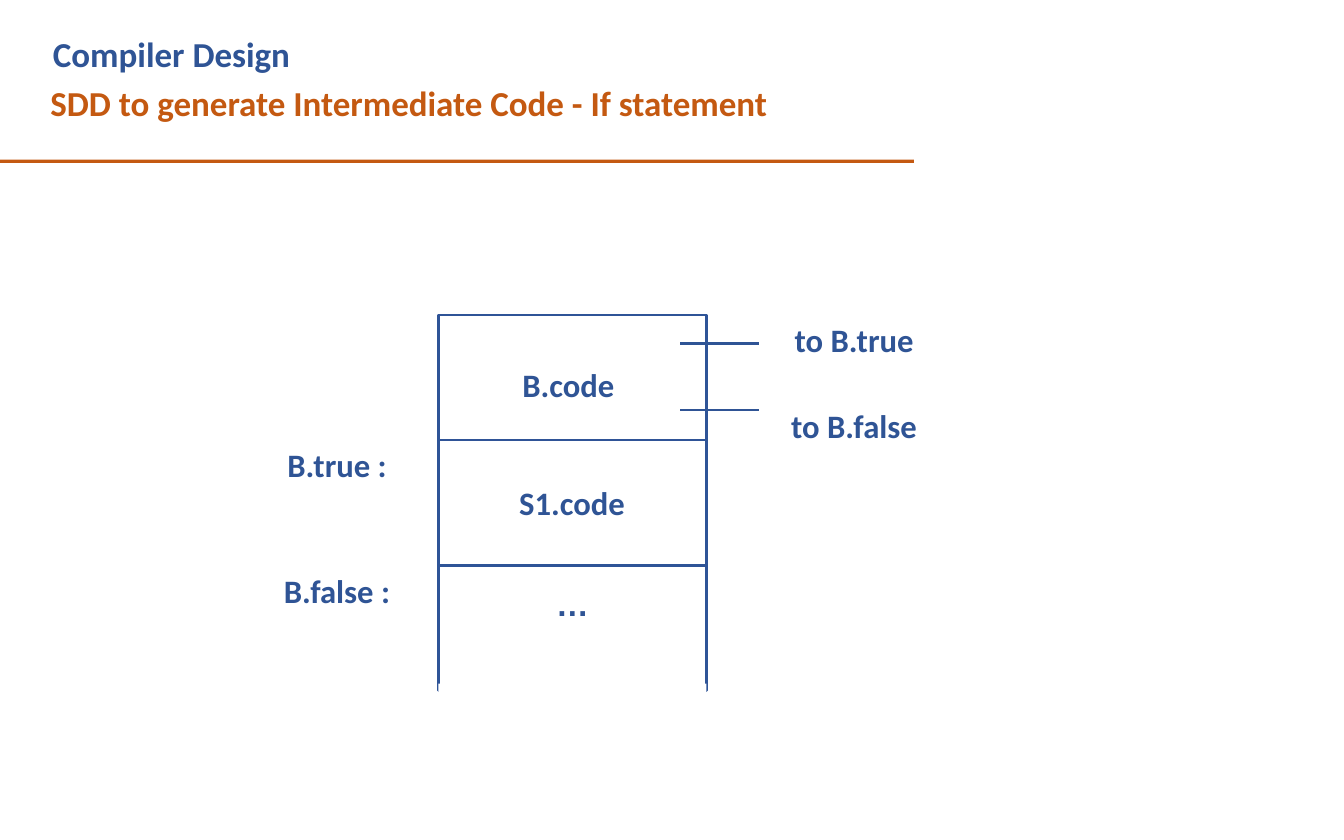
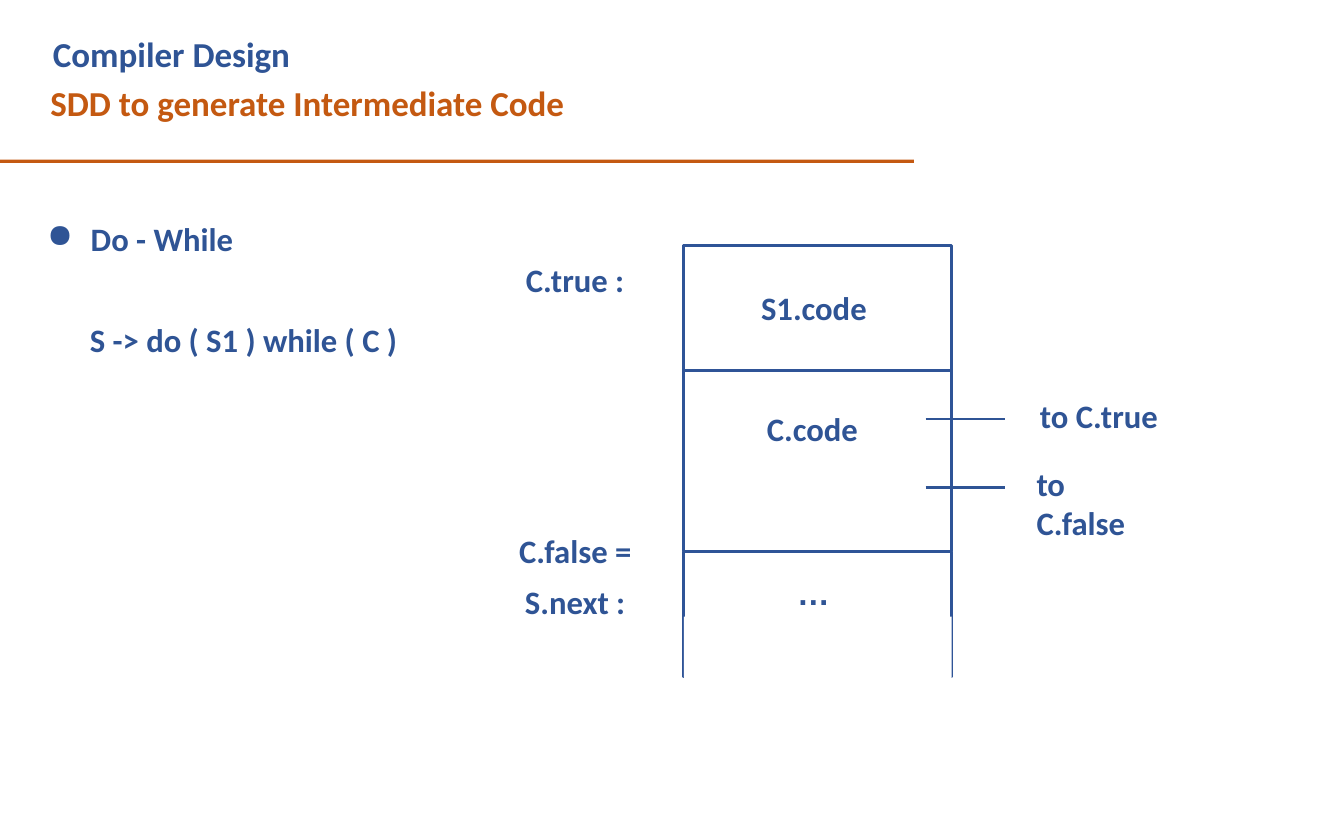
from dataclasses import dataclass

from lxml import etree
from pptx import Presentation
from pptx import util as u
from pptx.dml.color import RGBColor
from pptx.enum import shapes, text
from pptx.oxml import ns

PX = 9144  # EMU in one px, 100 px to the inch
HUES = {"blue": "2F5495", "edge": "2F5497", "rust": "C45911", "white": "FFFFFF"}
WIDE = 319  # width of every code block
STUB = 94  # length of an exit line
REACH = 288  # from the left of a block to the start of its exit lines


@dataclass
class Line:
    text: str
    left: int = 1
    hang: int = 0
    before: float = 0
    pitch: float | None = None
    face: str = "Calibri"
    bullet: str = ""


@dataclass
class Label:
    box: tuple[int, int, int, int]
    lines: list[Line]
    inset: int = 1


@dataclass
class Block:
    top: int
    high: int
    text: str = ""


@dataclass
class Stack:
    left: int
    pad: int
    blocks: list[Block]
    exits: list[int]
    cover: Block


@dataclass
class Page:
    topic: str
    stack: Stack
    labels: list[Label]


def emu(*vals: int) -> list[int]:
    return [u.Emu(val * PX) for val in vals]


def hue(name: str) -> RGBColor:
    return RGBColor.from_string(HUES[name])


def write(para, words: str, *, color: str = "blue", size: int = 28,
          face: str = "Calibri", left: int = 0, hang: int = 0,
          before: float = 0, pitch: float | None = None,
          bullet: str = "") -> None:
    para.alignment = text.PP_ALIGN.LEFT
    para.space_before = u.Pt(before)
    if pitch:
        para.line_spacing = pitch
    props = para._p.get_or_add_pPr()
    props.set("marL", str(left * PX))
    props.set("indent", str(hang * PX))
    if bullet:
        etree.SubElement(props, ns.qn("a:buChar")).set("char", bullet)
    run = para.add_run()
    run.text = words
    font = run.font
    font.name, font.size, font.bold = face, u.Pt(size), True
    font.color.rgb = hue(color)


def setup(frame, inset: int = 0, anchor=text.MSO_ANCHOR.TOP) -> None:
    frame.word_wrap = True
    frame.auto_size = text.MSO_AUTO_SIZE.NONE
    frame.vertical_anchor = anchor
    frame.margin_left = frame.margin_right = frame.margin_bottom = 0
    frame.margin_top = inset * PX


def rect(slide, box: tuple[int, int, int, int], fill: str = "", edge: str = ""):
    shape = slide.shapes.add_shape(shapes.MSO_SHAPE.RECTANGLE, *emu(*box))
    shape.shadow.inherit = False
    if fill:
        shape.fill.solid()
        shape.fill.fore_color.rgb = hue(fill)
    else:
        shape.fill.background()
    if edge:
        shape.line.color.rgb = hue(edge)
        shape.line.width = u.Pt(2.25)
    else:
        shape.line.fill.background()
    return shape


def stub(slide, left: int, top: int) -> None:
    """Draw one exit line out of a block."""
    line = slide.shapes.add_connector(
        shapes.MSO_CONNECTOR.STRAIGHT, *emu(left, top, left + STUB, top))
    line.line.color.rgb = hue("blue")
    line.line.width = u.Pt(2.25)
    etree.SubElement(line._element.spPr, ns.qn("a:effectLst"))


def head(slide, topic: str) -> None:
    """Fill the title and draw the rule under it."""
    title = slide.shapes.title
    title.left, title.top, title.width, title.height = emu(59, 29, 1041, 119)
    frame = title.text_frame
    setup(frame, 10)
    write(frame.paragraphs[0], "Compiler Design", size=30, left=4)
    write(frame.add_paragraph(), topic, size=30, left=1, before=6, color="rust")
    rect(slide, (0, 190, 1088, 4), fill="rust")


def pile(slide, stack: Stack) -> None:
    """Draw the blocks, leave the last one open below, add the exits."""
    for block in stack.blocks:
        shape = rect(slide, (stack.left, block.top, WIDE, block.high), edge="edge")
        if block.text:
            setup(shape.text_frame, anchor=text.MSO_ANCHOR.MIDDLE)
            write(shape.text_frame.paragraphs[0], block.text, left=stack.pad)
    rect(slide, (stack.left, stack.cover.top, WIDE, stack.cover.high), fill="white")
    for top in stack.exits:
        stub(slide, stack.left + REACH, top)


def note(slide, label: Label) -> None:
    frame = slide.shapes.add_textbox(*emu(*label.box)).text_frame
    setup(frame, label.inset)
    for num, line in enumerate(label.lines):
        para = frame.add_paragraph() if num else frame.paragraphs[0]
        write(para, line.text, face=line.face, left=line.left, hang=line.hang,
              before=line.before, pitch=line.pitch, bullet=line.bullet)


PAGES = [
    Page(
        "SDD to generate Intermediate Code - If statement",
        Stack(522, 96,
              [Block(375, 149), Block(524, 149, "S1.code"), Block(673, 149)],
              [409, 488], Block(814, 57)),
        [
            Label((621, 371, 473, 158),
                  [Line("to B.true", 325), Line("B.code", before=4.8),
                   Line("to B.false", 321, before=1.4)], 10),
            Label((341, 529, 121, 49), [Line("B.true :")]),
            Label((337, 678, 129, 49), [Line("B.false :")]),
            Label((661, 694, 42, 49), [Line("…", face="Arial")]),
        ],
    ),
    Page(
        "SDD to generate Intermediate Code",
        Stack(814, 92,
              [Block(292, 149, "S1.code"), Block(441, 216), Block(657, 149)],
              [499, 580], Block(734, 149)),
        [
            Label((912, 486, 111, 49), [Line("C.code")]),
            Label((625, 308, 120, 49), [Line("C.true :")]),
            Label((616, 618, 140, 123),
                  [Line("C.false = S.next :", 9, -7, pitch=1.29)]),
            Label((1233, 470, 147, 177),
                  [Line("to C.true", 5), Line("to C.false", before=24.6)]),
            Label((54, 259, 225, 49),
                  [Line("Do - While", 54, -52, bullet="●")]),
            Label((106, 380, 372, 49), [Line("S -> do ( S1 ) while ( C )")]),
            Label((948, 681, 42, 49), [Line("…", face="Arial")]),
        ],
    ),
]


def main() -> None:
    deck = Presentation()
    deck.slide_width, deck.slide_height = emu(1600, 1000)
    for page in PAGES:
        slide = deck.slides.add_slide(deck.slide_layouts[5])
        head(slide, page.topic)
        pile(slide, page.stack)
        for label in page.labels:
            note(slide, label)
    deck.save("out.pptx")


if __name__ == "__main__":
    main()
